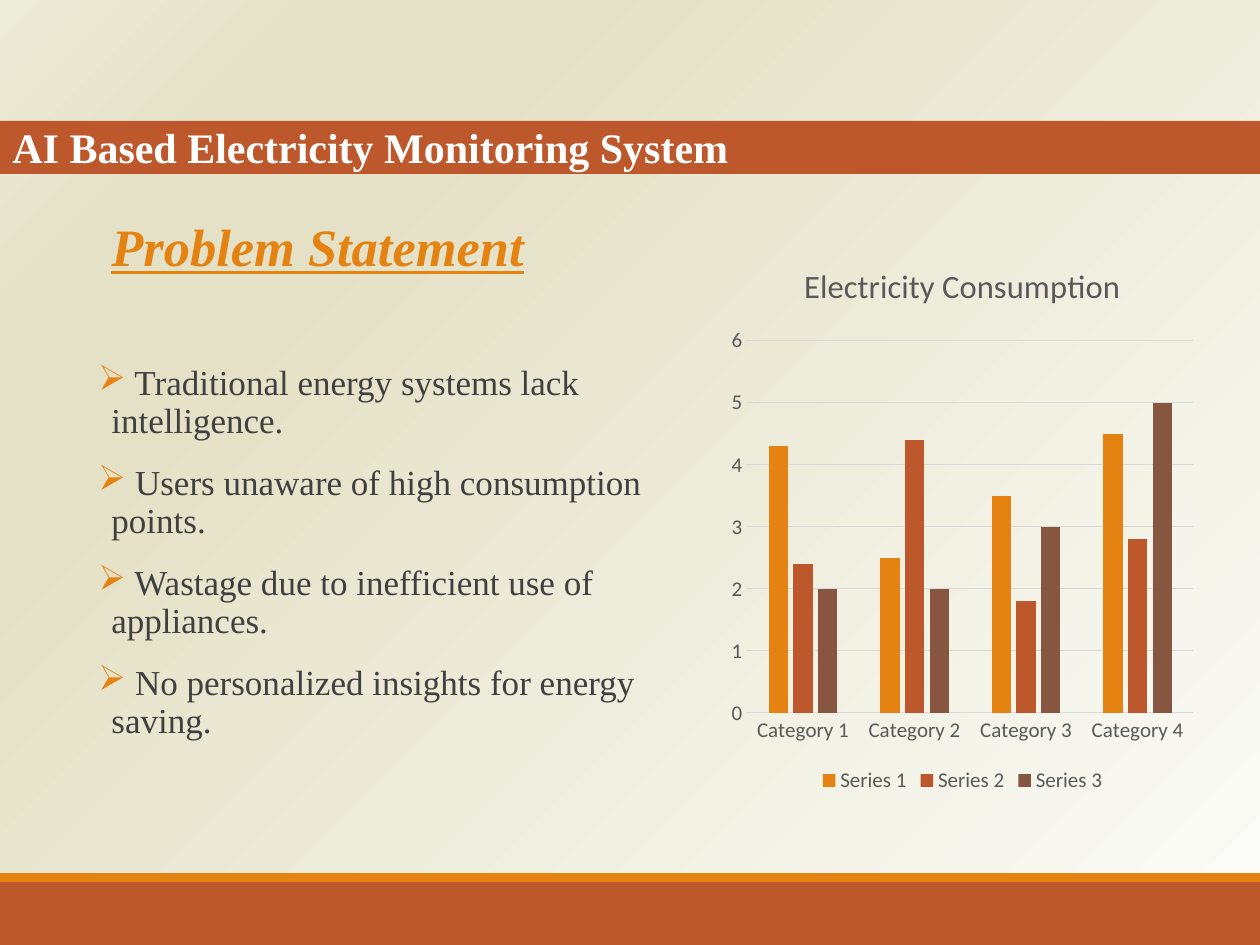
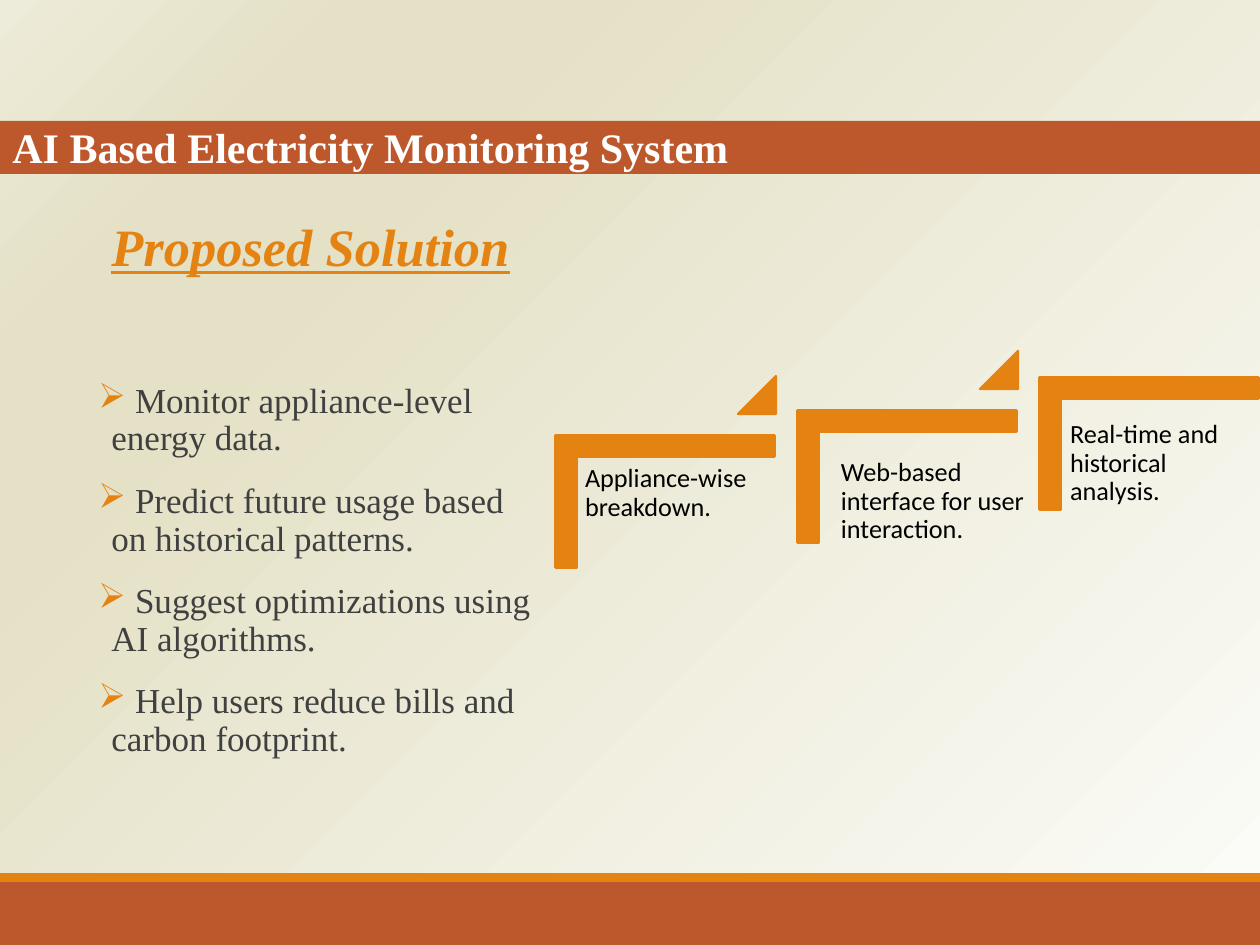
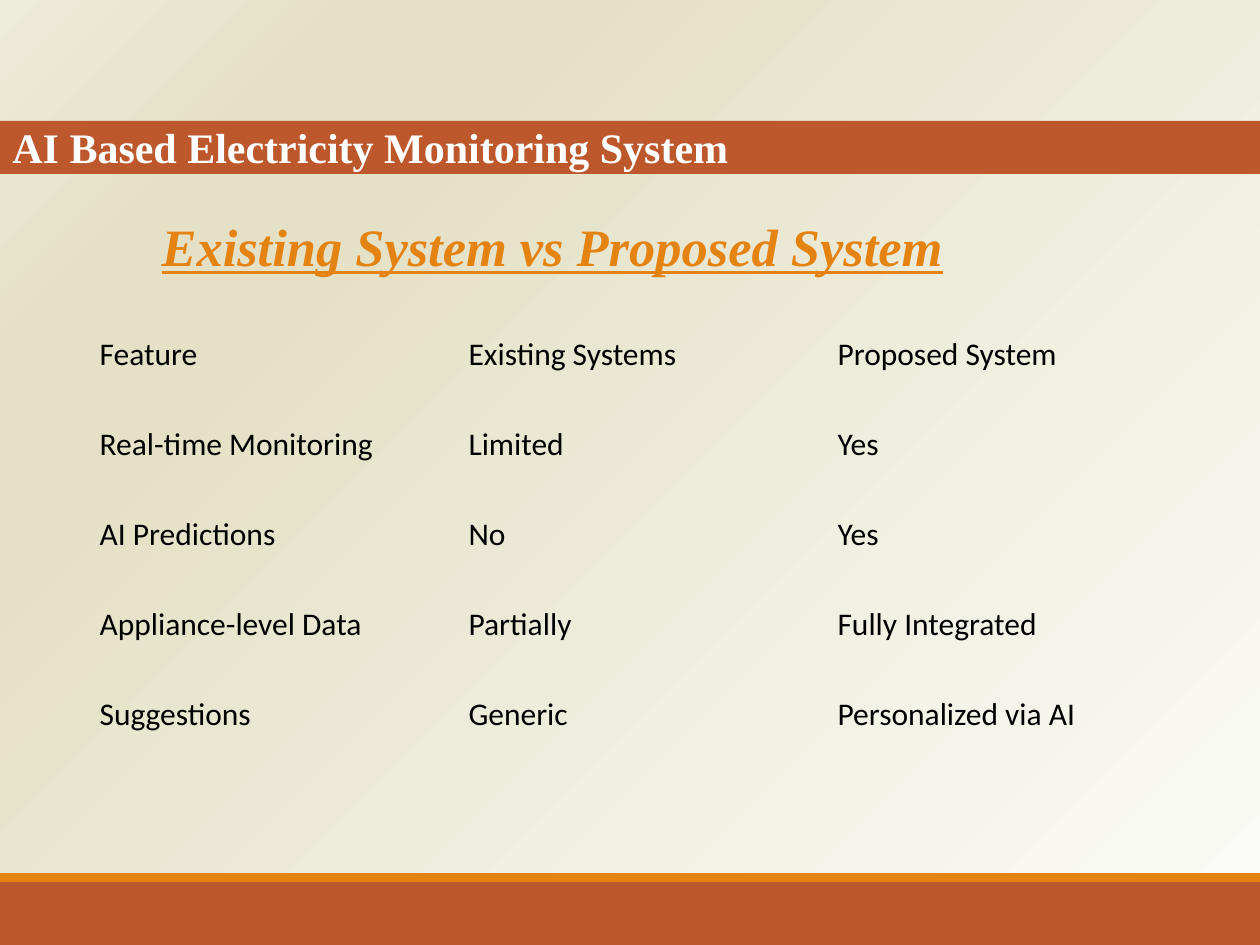
from dataclasses import dataclass

from lxml import etree
from pptx import Presentation
from pptx.chart.data import CategoryChartData
from pptx.dml.color import RGBColor
from pptx.enum.chart import XL_CHART_TYPE, XL_LEGEND_POSITION, XL_TICK_MARK
from pptx.enum.shapes import MSO_SHAPE
from pptx.enum.text import MSO_ANCHOR, PP_ALIGN
from pptx.oxml.ns import qn
from pptx.util import Pt

RECT = MSO_SHAPE.RECTANGLE
CORNER = MSO_SHAPE.CORNER
TRIANGLE = MSO_SHAPE.ISOSCELES_TRIANGLE
COLUMNS = XL_CHART_TYPE.COLUMN_CLUSTERED
BOTTOM = XL_LEGEND_POSITION.BOTTOM
NO_TICK = XL_TICK_MARK.NONE
TOP = MSO_ANCHOR.TOP
MIDDLE = MSO_ANCHOR.MIDDLE
LEFT = PP_ALIGN.LEFT
CENTER = PP_ALIGN.CENTER
EMU_PER_PX = 914400 / 126
PLAIN_TABLE = "{2D5ABB26-0587-4C30-8999-92F81FD0307C}"


@dataclass(frozen=True)
class Theme:
    orange: str = "E48312"
    rust: str = "BD582C"
    brown: str = "865640"
    white: str = "FFFFFF"
    black: str = "000000"
    body: str = "404040"
    label: str = "595959"
    grid: str = "D9D9D9"
    backdrop: tuple = ((0, "FCFCF9"), (74, "E4E1C6"), (83, "E4E1C6"), (100, "EDEBD9"))
    serif: str = "Times New Roman"
    sans: str = "Calibri"
    title_size: float = 24
    heading_size: float = 30
    bullet_size: float = 20
    table_size: float = 18
    step_size: float = 15
    chart_title_size: float = 18.6
    chart_size: float = 12


THEME = Theme()


def px(n):
    return round(n * EMU_PER_PX)


def rgb(value):
    return RGBColor.from_string(value)


def set_font(font, size, color, name, bold=False, italic=False, underline=False):
    font.size, font.name = Pt(size), name
    font.bold, font.italic, font.underline = bold, italic, underline
    font.color.rgb = rgb(color)


def write(p, text, *, align=None, line=None, before=0, after=0, left=0, bullet=None, **font):
    pPr = p._p.get_or_add_pPr()
    if left:
        pPr.set("marL", str(px(left)))
        pPr.set("indent", str(-px(left) if bullet else 0))
    if bullet:
        clr = etree.SubElement(pPr, qn("a:buClr"))
        etree.SubElement(clr, qn("a:srgbClr"), val=THEME.orange)
        etree.SubElement(pPr, qn("a:buChar"), char=bullet)
    p.alignment = align
    if line:
        p.line_spacing = line
    p.space_before, p.space_after = Pt(before), Pt(after)
    r = p.add_run()
    r.text = text
    set_font(r.font, **font)


def add_box(slide, x, y, w, h, inset=None):
    tf = slide.shapes.add_textbox(px(x), px(y), px(w), px(h)).text_frame
    tf.word_wrap = True
    if inset is not None:
        tf.margin_left = tf.margin_right = tf.margin_top = tf.margin_bottom = px(inset)
    return tf


def add_solid(slide, kind, x, y, w, h, color, line=None, adjust=()):
    sp = slide.shapes.add_shape(kind, px(x), px(y), px(w), px(h))
    sp.shadow.inherit = False
    sp.fill.solid()
    sp.fill.fore_color.rgb = rgb(color)
    if line:
        sp.line.color.rgb = rgb(color)
        sp.line.width = Pt(line)
    else:
        sp.line.fill.background()
    for i, value in enumerate(adjust):
        sp.adjustments[i] = value
    return sp


def set_backdrop(slide):
    slide.background.fill.gradient()
    grad = slide._element.find(".//" + qn("a:gradFill"))
    for child in list(grad):
        grad.remove(child)
    stops = etree.SubElement(grad, qn("a:gsLst"))
    for pos, color in THEME.backdrop:
        gs = etree.SubElement(stops, qn("a:gs"), pos=str(pos * 1000))
        etree.SubElement(gs, qn("a:srgbClr"), val=color)
    circle = etree.SubElement(grad, qn("a:path"), path="circle")
    etree.SubElement(circle, qn("a:fillToRect"), l="100000", t="100000")


def add_base(prs):
    slide = prs.slides.add_slide(prs.slide_layouts[6])
    set_backdrop(slide)
    add_solid(slide, RECT, 0, 882, 1260, 63, THEME.rust)
    add_solid(slide, RECT, 0, 873, 1260, 9, THEME.orange)
    tf = add_solid(slide, RECT, 0, 121, 1260, 53, THEME.rust).text_frame
    tf.word_wrap = True
    tf.vertical_anchor = TOP
    write(tf.paragraphs[0], "AI Based Electricity Monitoring System", align=LEFT,
          line=0.9, size=THEME.title_size, color=THEME.white, name=THEME.serif, bold=True)
    return slide


def add_body(slide, heading, w, h, bullets=(), gap=0, align=None):
    tf = add_box(slide, 86, 215, w, h)
    write(tf.paragraphs[0], heading, align=align, line=0.9, after=2, left=13,
          size=THEME.heading_size, color=THEME.orange, name=THEME.serif,
          bold=True, italic=True, underline=True)
    for i, text in enumerate(bullets):
        write(tf.add_paragraph(), " " + text, line=0.9, before=12 if i else gap, after=2,
              left=13, bullet="➢", size=THEME.bullet_size, color=THEME.body, name=THEME.serif)


def add_columns(slide, x, y, w, h, title, cats, series):
    data = CategoryChartData()
    data.categories = cats
    for name, values, _ in series:
        data.add_series(name, values)
    chart = slide.shapes.add_chart(COLUMNS, px(x), px(y), px(w), px(h), data).chart
    set_font(chart.font, THEME.chart_size, THEME.label, THEME.sans)
    p = chart.chart_title.text_frame.paragraphs[0]
    write(p, title, size=THEME.chart_title_size, color=THEME.label, name=THEME.sans)
    chart.has_legend = True
    chart.legend.position = BOTTOM
    chart.legend.include_in_layout = False
    plot = chart.plots[0]
    plot.gap_width, plot.overlap, plot.vary_by_categories = 219, -27, False
    for s, (_, _, color) in zip(plot.series, series):
        s.format.fill.solid()
        s.format.fill.fore_color.rgb = rgb(color)
    for axis in (chart.category_axis, chart.value_axis):
        axis.major_tick_mark = axis.minor_tick_mark = NO_TICK
    chart.value_axis.format.line.fill.background()
    for line in (chart.category_axis.format.line, chart.value_axis.major_gridlines.format.line):
        line.color.rgb = rgb(THEME.grid)
        line.width = Pt(0.75)


def add_step(slide, x, y, text, box, last):
    add_solid(slide, CORNER, x, y, 132, 219, THEME.orange, 1.25, (0.16, 0.16)).rotation = 90
    tf = add_box(slide, *box, inset=8)
    write(tf.paragraphs[0], text, line=0.9, size=THEME.step_size, color=THEME.black,
          name=THEME.sans)
    if not last:
        add_solid(slide, TRIANGLE, x + 139, y - 16, 38, 38, THEME.orange, 1.25, (1,))


def add_grid(slide, x, y, col_w, row_h, rows):
    n, m = len(rows), len(rows[0])
    table = slide.shapes.add_table(n, m, px(x), px(y), px(col_w * m), px(row_h * n)).table
    table.first_row = table.horz_banding = False
    table._tbl.find(".//" + qn("a:tableStyleId")).text = PLAIN_TABLE
    for i, row in enumerate(rows):
        for j, text in enumerate(row):
            cell = table.cell(i, j)
            cell.fill.background()
            cell.vertical_anchor = MIDDLE
            write(cell.text_frame.paragraphs[0], text, size=THEME.table_size,
                  color=THEME.black, name=THEME.sans)


def problem_slide(prs):
    slide = add_base(prs)
    add_body(slide, "Problem Statement", 624, 610, (
        "Traditional energy systems lack intelligence.",
        "Users unaware of high consumption points.",
        "Wastage due to inefficient use of appliances.",
        "No personalized insights for energy saving.",
    ), gap=48)
    add_columns(slide, 722, 239, 481, 559, "Electricity Consumption",
                [f"Category {i}" for i in range(1, 5)], (
                    ("Series 1", (4.3, 2.5, 3.5, 4.5), THEME.orange),
                    ("Series 2", (2.4, 4.4, 1.8, 2.8), THEME.rust),
                    ("Series 3", (2, 2, 3, 5), THEME.brown),
                ))


def solution_slide(prs):
    slide = add_base(prs)
    add_body(slide, "Proposed Solution", 470, 597, (
        "Monitor appliance-level energy data.",
        "Predict future usage based on historical patterns.",
        "Suggest optimizations using AI algorithms.",
        "Help users reduce bills and carbon footprint.",
    ), gap=58)
    steps = (
        (392, "Appliance-wise breakdown.", (577, 457, 198, 174)),
        (367, "Web-based interface for user interaction.", (833, 451, 203, 103)),
        (334, "Real-time and historical analysis.", (1062, 413, 198, 120)),
    )
    for i, (y, text, box) in enumerate(steps):
        add_step(slide, 599 + 242 * i, y, text, box, last=i == len(steps) - 1)


def comparison_slide(prs):
    slide = add_base(prs)
    add_body(slide, "Existing System vs Proposed System", 920, 557, align=CENTER)
    add_grid(slide, 87, 310, 369, 90, (
        ("Feature", "Existing Systems", "Proposed System"),
        ("Real-time Monitoring", "Limited", "Yes"),
        ("AI Predictions", "No", "Yes"),
        ("Appliance-level Data", "Partially", "Fully Integrated"),
        ("Suggestions", "Generic", "Personalized via AI"),
    ))


def main():
    prs = Presentation()
    prs.slide_width, prs.slide_height = px(1260), px(945)
    problem_slide(prs)
    solution_slide(prs)
    comparison_slide(prs)
    prs.save("out.pptx")


if __name__ == "__main__":
    main()
